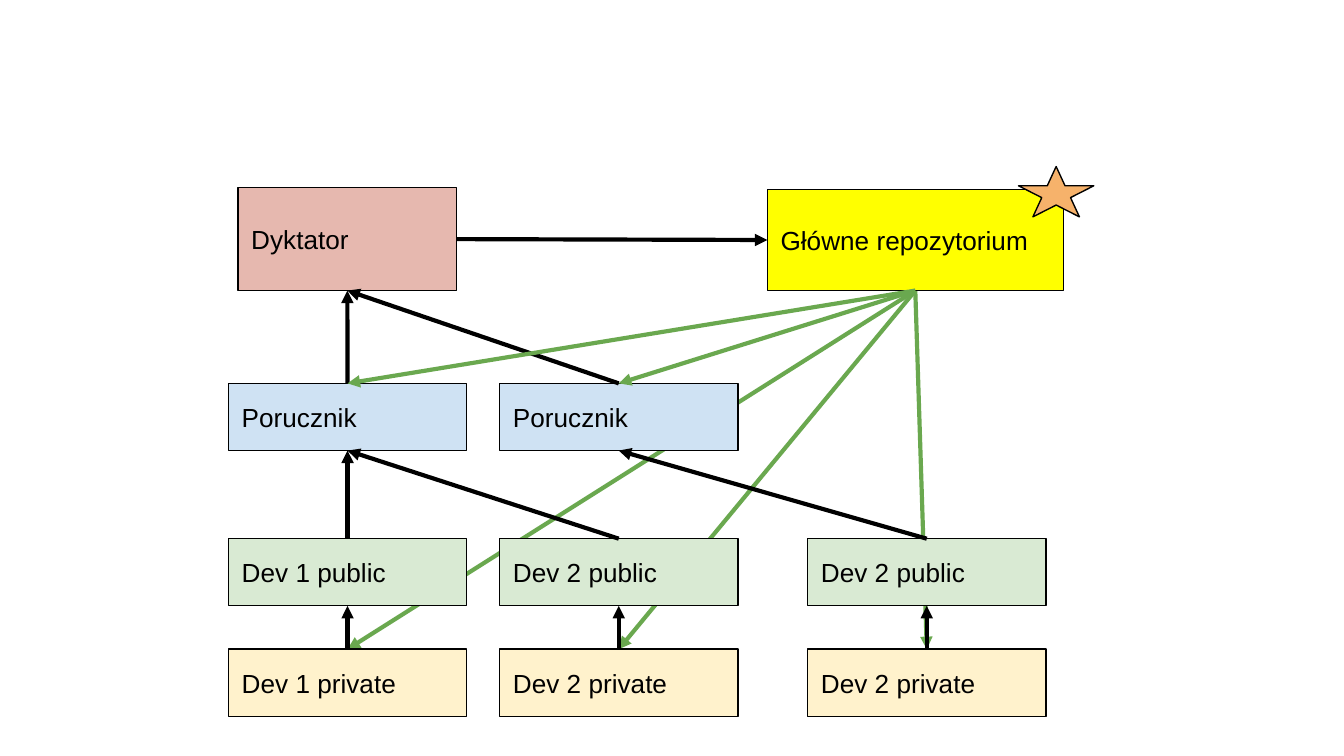
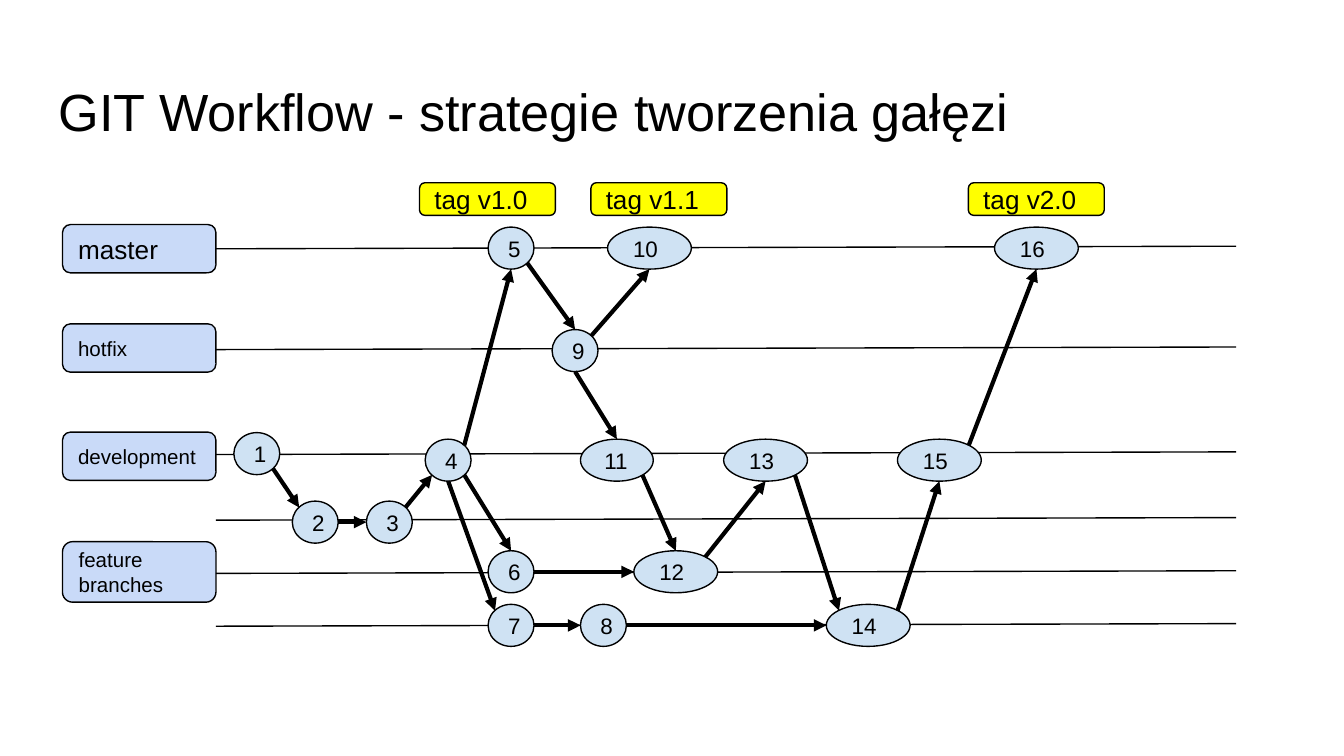
"""Build two slides on Git teamwork: a repository hierarchy and a branching timeline."""

from dataclasses import dataclass

from lxml.etree import SubElement
from pptx import Presentation
from pptx.dml.color import RGBColor
from pptx.enum.shapes import MSO_CONNECTOR, MSO_SHAPE
from pptx.enum.text import MSO_ANCHOR, PP_ALIGN
from pptx.oxml.ns import qn
from pptx.presentation import Presentation as Deck
from pptx.slide import Slide
from pptx.text.text import TextFrame
from pptx.util import Pt

FONT = "Arial"
COLORS = {
    "ink": "000000",
    "dictator": "E6B8AF",
    "main": "FFFF00",
    "lieutenant": "CFE2F3",
    "public": "D9EAD3",
    "private": "FFF2CC",
    "star": "F6B26B",
    "pull": "6AA84F",
    "branch": "C9DAF8",
    "commit": "CFE2F3",
    "tag": "FFFF00",
}
SITES = {
    "N": (0.5, 0), "S": (0.5, 1), "W": (0, 0.5), "E": (1, 0.5),
    "NW": (0.15, 0.15), "NE": (0.85, 0.15),
    "SW": (0.15, 0.85), "SE": (0.85, 0.85),
}
Point = tuple[float, float]


@dataclass(frozen=True)
class Node:
    label: str
    left: float
    top: float
    width: float
    height: float
    color: str
    geometry: MSO_SHAPE = MSO_SHAPE.RECTANGLE
    size: float = 14

    def site(self, direction: str) -> Point:
        across, down = SITES[direction]
        return self.left + across * self.width, self.top + down * self.height


@dataclass(frozen=True)
class Link:
    source: str
    leaving: str
    target: str
    entering: str


@dataclass(frozen=True)
class Branch:
    label: str
    top: float
    height: float = 25.9
    size: float = 11


def rgb(name: str) -> RGBColor:
    return RGBColor.from_string(COLORS[name])


def write_text(frame: TextFrame, text: str, *, size: float,
               color: str = "ink", anchor: MSO_ANCHOR = MSO_ANCHOR.MIDDLE) -> None:
    frame.word_wrap = True
    frame.vertical_anchor = anchor
    frame.margin_left = frame.margin_right = Pt(7.2)
    frame.margin_top = frame.margin_bottom = Pt(7.2)
    paragraph = frame.paragraphs[0]
    paragraph.alignment = PP_ALIGN.LEFT
    run = paragraph.add_run()
    run.text = text
    run.font.name = FONT
    run.font.size = Pt(size)
    run.font.color.rgb = rgb(color)


def draw_node(slide: Slide, node: Node) -> None:
    shape = slide.shapes.add_shape(
        node.geometry, Pt(node.left), Pt(node.top), Pt(node.width), Pt(node.height))
    shape.shadow.inherit = False
    shape.fill.solid()
    shape.fill.fore_color.rgb = rgb(node.color)
    shape.line.color.rgb = rgb("ink")
    shape.line.width = Pt(0.75)
    if node.label:
        write_text(shape.text_frame, node.label, size=node.size)


def draw_line(slide: Slide, start: Point, end: Point, *, color: str = "ink",
              width: float = 0.75, arrow: bool = False) -> None:
    connector = slide.shapes.add_connector(
        MSO_CONNECTOR.STRAIGHT, *(Pt(value) for value in (*start, *end)))
    connector.line.color.rgb = rgb(color)
    connector.line.width = Pt(width)
    properties = connector.element.spPr
    if arrow:
        SubElement(properties.find(qn("a:ln")), qn("a:tailEnd"), type="triangle")
    SubElement(properties, qn("a:effectLst"))


def draw_links(slide: Slide, nodes: dict[str, Node], links: list[Link],
               color: str = "ink") -> None:
    for link in links:
        draw_line(slide, nodes[link.source].site(link.leaving),
                  nodes[link.target].site(link.entering),
                  color=color, width=2.25, arrow=True)


def add_slide(deck: Deck) -> Slide:
    return deck.slides.add_slide(deck.slide_layouts[6])


def build_hierarchy(deck: Deck) -> None:
    slide = add_slide(deck)
    columns = {"1": 122.4, "2": 267.7, "3": 432.7}
    rows = {"lieutenant": 205.4, "public": 288.6, "private": 347.8}
    developers = {"1": "Dev 1", "2": "Dev 2", "3": "Dev 2"}

    nodes = {
        "dictator": Node("Dyktator", 127.5, 100.5, 117.2, 55.2, "dictator"),
        "main": Node("Główne repozytorium", 411.1, 101.5, 158.5, 54.2, "main"),
    }
    for role, top in rows.items():
        for column, left in columns.items():
            if role == "lieutenant" and column == "3":
                continue
            label = "Porucznik" if role == "lieutenant" else f"{developers[column]} {role}"
            nodes[role + column] = Node(label, left, top, 127.6, 36, role)

    developer_pulls = [Link("main", "S", f"private{column}", "N") for column in columns]
    lieutenant_pulls = [Link("main", "S", f"lieutenant{column}", "N") for column in "12"]
    promotions = [
        ("lieutenant1", "dictator"), ("lieutenant2", "dictator"),
        ("public1", "lieutenant1"), ("public2", "lieutenant1"),
        ("public3", "lieutenant2"),
        *((f"private{column}", f"public{column}") for column in columns),
    ]
    pushes = [Link("dictator", "E", "main", "W"),
              *(Link(source, "N", target, "S") for source, target in promotions)]

    draw_links(slide, nodes, developer_pulls, "pull")
    for node in nodes.values():
        draw_node(slide, node)
    draw_node(slide, Node("", 545.6, 89.2, 40.4, 27, "star", MSO_SHAPE.STAR_5_POINT))
    draw_links(slide, nodes, pushes)
    draw_links(slide, nodes, lieutenant_pulls, "pull")


def build_timeline(deck: Deck) -> None:
    slide = add_slide(deck)
    title = slide.shapes.add_textbox(Pt(24.5), Pt(35.3), Pt(671), Pt(45.4))
    write_text(title.text_frame, "GIT Workflow - strategie tworzenia gałęzi",
               size=28, anchor=MSO_ANCHOR.TOP)

    branches = [
        Branch("master", 120.3, size=14),
        Branch("hotfix", 173.5),
        Branch("development", 231.5),
        Branch("feature branches", 290.2, height=32.4),
    ]
    for branch in branches:
        draw_node(slide, Node(branch.label, 33.5, branch.top, 82.2, branch.height,
                              "branch", MSO_SHAPE.ROUNDED_RECTANGLE, branch.size))

    for height in (133.3, 187.3, 243.5, 278.7, 307.2, 335.5):
        draw_line(slide, (115.7, height), (662.2, height - 1.4))

    lanes = {
        121.7: {"5": 261.5, "10": 325.5, "16": 532.8},
        176.6: {"9": 295.8},
        231.8: {"1": 125.3},
        235.3: {"4": 227.8, "11": 311, "13": 387.7, "15": 480.8},
        268.5: {"2": 156.6, "3": 196.3},
        295.1: {"6": 261.5, "12": 339.6},
        323.8: {"7": 261.5, "8": 311, "14": 442.7},
    }
    widths = {"11": 39}
    commits = {
        number: Node(number, left, top, widths.get(number, 24.6 if int(number) < 10 else 44.9),
                     22.5, "commit", MSO_SHAPE.OVAL, 12)
        for top, lane in lanes.items() for number, left in lane.items()
    }
    history = [
        Link("1", "SE", "2", "NW"), Link("2", "E", "3", "W"),
        Link("3", "NE", "4", "SW"), Link("4", "NE", "5", "S"),
        Link("4", "SE", "6", "N"), Link("4", "S", "7", "NW"),
        Link("5", "SE", "9", "N"), Link("6", "E", "12", "W"),
        Link("7", "E", "8", "W"), Link("8", "E", "14", "W"),
        Link("9", "NE", "10", "S"), Link("9", "S", "11", "N"),
        Link("11", "SE", "12", "N"), Link("12", "NE", "13", "S"),
        Link("13", "SE", "14", "NW"), Link("14", "NE", "15", "S"),
        Link("15", "NE", "16", "S"),
    ]
    for commit in commits.values():
        draw_node(slide, commit)
    draw_links(slide, commits, history)

    for version, left in {"1.0": 224.8, "1.1": 316.6, "2.0": 518.8}.items():
        draw_node(slide, Node(f"tag v{version}", left, 97.9, 72.8, 17.5,
                              "tag", MSO_SHAPE.ROUNDED_RECTANGLE))


def main() -> None:
    deck = Presentation()
    deck.slide_width, deck.slide_height = Pt(720), Pt(405)
    build_hierarchy(deck)
    build_timeline(deck)
    deck.save("out.pptx")


if __name__ == "__main__":
    main()
